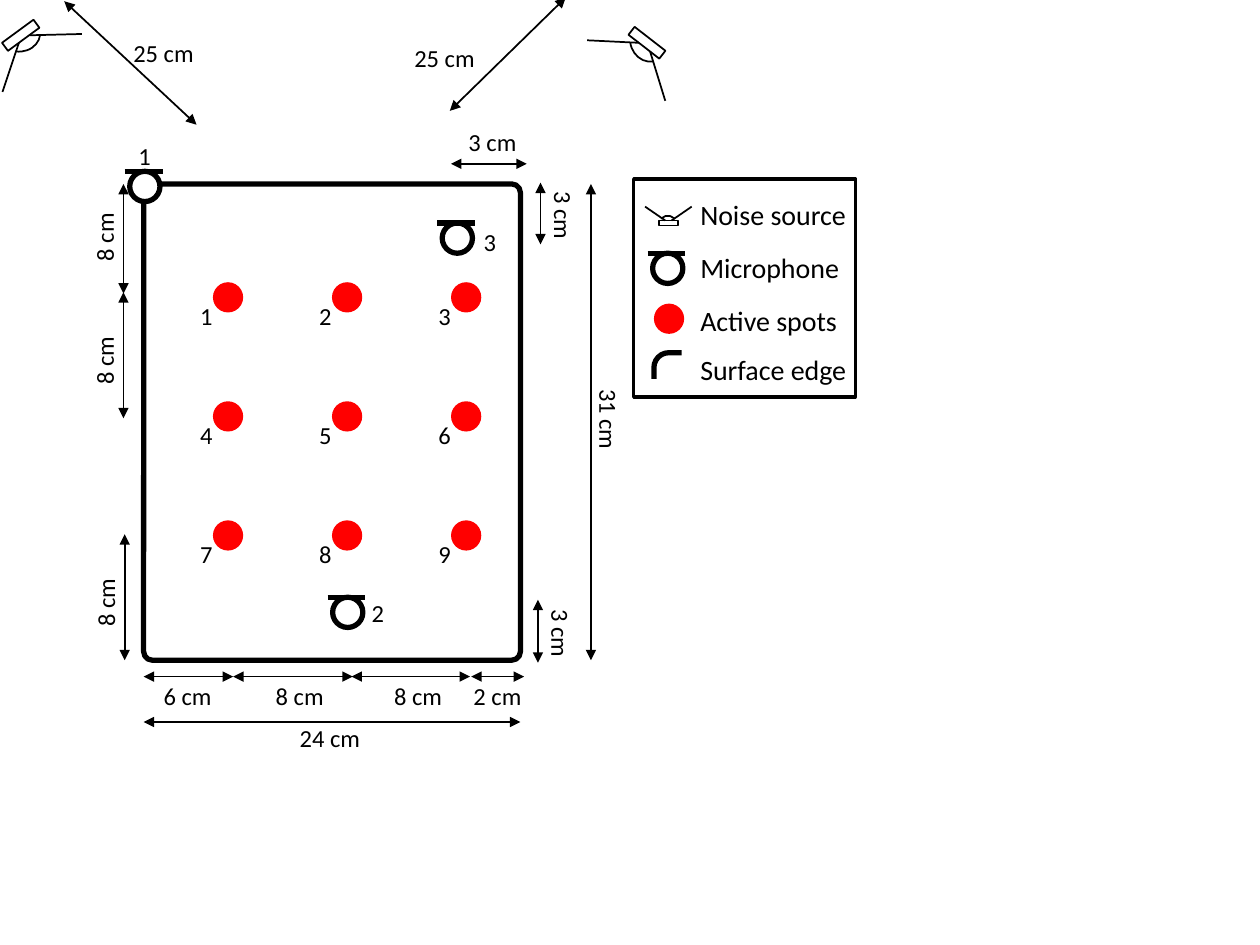
from lxml import etree
from pptx import Presentation
from pptx import util as u
from pptx.dml.color import RGBColor
from pptx.enum import shapes, text
from pptx.oxml import ns

COLORS = {"ink": "000000", "paper": "FFFFFF", "spot": "FF0000"}
KINDS = shapes.MSO_SHAPE

presentation = Presentation()
presentation.slide_width = u.Inches(10)
presentation.slide_height = u.Inches(7.5)
slide = presentation.slides.add_slide(presentation.slide_layouts[6])
column = presentation.slide_width / 10
row = presentation.slide_height / 7.5


def draw_shape(kind, left, top, width, height, fill=None, line=None, rotation=0, corner=None):
    shape = slide.shapes.add_shape(
        kind, int(left * column), int(top * row), int(width * column), int(height * row))
    shape.shadow.inherit = False
    shape.rotation = rotation
    if corner is not None:
        shape.adjustments[0] = corner
    if fill:
        shape.fill.solid()
        shape.fill.fore_color.rgb = RGBColor.from_string(COLORS[fill])
    else:
        shape.fill.background()
    if line:
        shape.line.color.rgb = RGBColor.from_string(COLORS["ink"])
        shape.line.width = u.Pt(line)
    else:
        shape.line.fill.background()


def draw_line(x1, y1, x2, y2, width=1, arrows=False):
    connector = slide.shapes.add_connector(
        shapes.MSO_CONNECTOR.STRAIGHT,
        int(x1 * column), int(y1 * row), int(x2 * column), int(y2 * row))
    connector.line.color.rgb = RGBColor.from_string(COLORS["ink"])
    connector.line.width = u.Pt(width)
    properties = connector.element.spPr
    if arrows:
        outline = properties.find(ns.qn("a:ln"))
        for end in ("a:headEnd", "a:tailEnd"):
            etree.SubElement(outline, ns.qn(end), type="triangle")
    etree.SubElement(properties, ns.qn("a:effectLst"))


draw_shape(KINDS.ROUNDED_RECTANGLE, 1.14, 1.46, 2.99, 3.78, line=3, corner=0.023)

draw_shape(KINDS.ROUNDED_RECTANGLE, 5.19, 2.8, 0.94, 0.47, line=3, corner=0.252)
for left, top in [(5.41, 2.69), (4.98, 3.01)]:
    draw_shape(KINDS.RECTANGLE, left, top, 1.97, 1.81, fill="paper")
draw_shape(KINDS.RECTANGLE, 5.03, 1.42, 1.76, 1.73, line=2)

microphones = [(1.03, 1.36, "paper"), (3.51, 1.77, None), (2.64, 4.74, None), (5.18, 2.01, None)]
for left, top, fill in microphones:
    draw_shape(KINDS.OVAL, left, top, 0.24, 0.24, fill=fill, line=3)
    draw_line(left - 0.04, top, left + 0.26, top, width=3)

pitch = 0.945
spots = [(1.69 + pitch * (i % 3), 2.24 + pitch * (i // 3)) for i in range(9)]
for left, top in spots + [(5.19, 2.41)]:
    draw_shape(KINDS.OVAL, left, top, 0.24, 0.24, fill="spot")

noise_sources = [
    ((0.01, 0.24, 0.31, 0.08), 323.7, (-0.01, 0.08, 0.31, 0.35), 97.2,
     [(0.15, 0.34, 0.02, 0.73), (0.65, 0.27, 0.24, 0.28)]),
    ((4.98, 0.3, 0.31, 0.08), 37.8, (5, 0.14, 0.31, 0.35), 171.3,
     [(5.07, 0.34, 4.66, 0.32), (5.28, 0.8, 5.16, 0.41)]),
    ((5.23, 1.75, 0.15, 0.04), 180, (5.23, 1.71, 0.15, 0.16), 313.5,
     [(5.33, 1.75, 5.49, 1.64), (5.12, 1.64, 5.28, 1.75)]),
]
for base, base_turn, cone, cone_turn, beams in noise_sources:
    draw_shape(KINDS.RECTANGLE, *base, line=1, rotation=base_turn)
    for beam in beams:
        draw_line(*beam)
    draw_shape(KINDS.ARC, *cone, line=1, rotation=cone_turn)

dimensions = [
    (4.69, 1.46, 4.69, 5.24), (1.14, 5.73, 4.13, 5.73),
    (0.98, 3.32, 0.98, 2.32), (0.98, 2.33, 0.98, 1.46), (0.99, 5.24, 0.99, 4.24),
    (1.14, 5.37, 1.85, 5.37), (1.85, 5.37, 2.8, 5.37),
    (2.79, 5.37, 3.73, 5.37), (3.74, 5.37, 4.16, 5.37),
    (4.27, 5.26, 4.27, 4.76), (4.29, 1.94, 4.29, 1.45), (3.58, 1.3, 4.18, 1.3),
    (1.56, 0.99, 0.51, 0.01), (4.49, -0.02, 3.57, 0.88),
]
for dimension in dimensions:
    draw_line(*dimension, arrows=True)

labels = [(str(i + 1), left - 0.2, top + 0.1, 0.39, 0, 14)
          for i, (left, top) in enumerate(spots)]
labels += [(number, left, top, 0.39, 0, 14) for number, left, top in [
    ("1", 1, 1.07), ("2", 2.85, 4.7), ("3", 3.74, 1.75)]]
labels += [(length, left, top, 0.94, turn, 14) for length, left, top, turn in [
    ("31 cm", 4.36, 3.29, 90), ("24 cm", 2.28, 5.69, 0),
    ("25 cm", 0.96, 0.25, 0), ("25 cm", 3.19, 0.29, 0),
    ("8 cm", 0.36, 2.51, 270), ("8 cm", 0.36, 1.53, 270), ("8 cm", 0.37, 4.43, 270),
    ("6 cm", 1.2, 5.36, 0), ("8 cm", 2.09, 5.36, 0),
    ("8 cm", 3.03, 5.36, 0), ("2 cm", 3.66, 5.36, 0), ("3 cm", 3.62, 0.96, 0)]]
labels += [("3 cm", 4.15, 4.87, 0.6, 90, 14), ("3 cm", 4.17, 1.55, 0.6, 90, 14)]
labels += [(entry, 5.46, top, 1.9, 0, 16) for entry, top in [
    ("Noise source", 1.52), ("Microphone", 1.94), ("Active spots", 2.36), ("Surface edge", 2.75)]]

frame_format = {"word_wrap": True, "auto_size": text.MSO_AUTO_SIZE.SHAPE_TO_FIT_TEXT}
for wording, left, top, width, rotation, size in labels:
    height = 0.34 if size == 14 else 0.37
    box = slide.shapes.add_textbox(
        int(left * column), int(top * row), int(width * column), int(height * row))
    box.rotation = rotation
    for name, value in frame_format.items():
        setattr(box.text_frame, name, value)
    run = box.text_frame.paragraphs[0].add_run()
    run.text = wording
    for name, value in {"name": "Calibri", "size": u.Pt(size)}.items():
        setattr(run.font, name, value)
    run.font.color.rgb = RGBColor.from_string(COLORS["ink"])

presentation.save("out.pptx")
